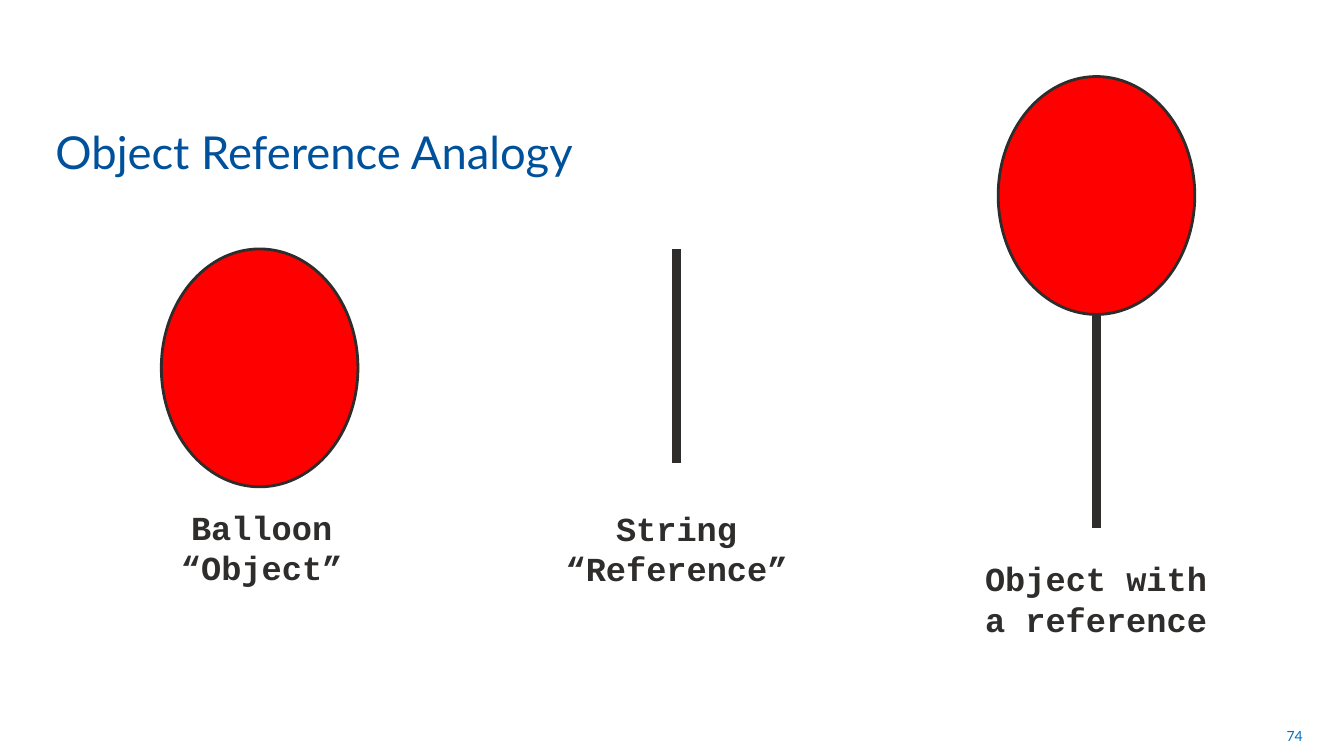
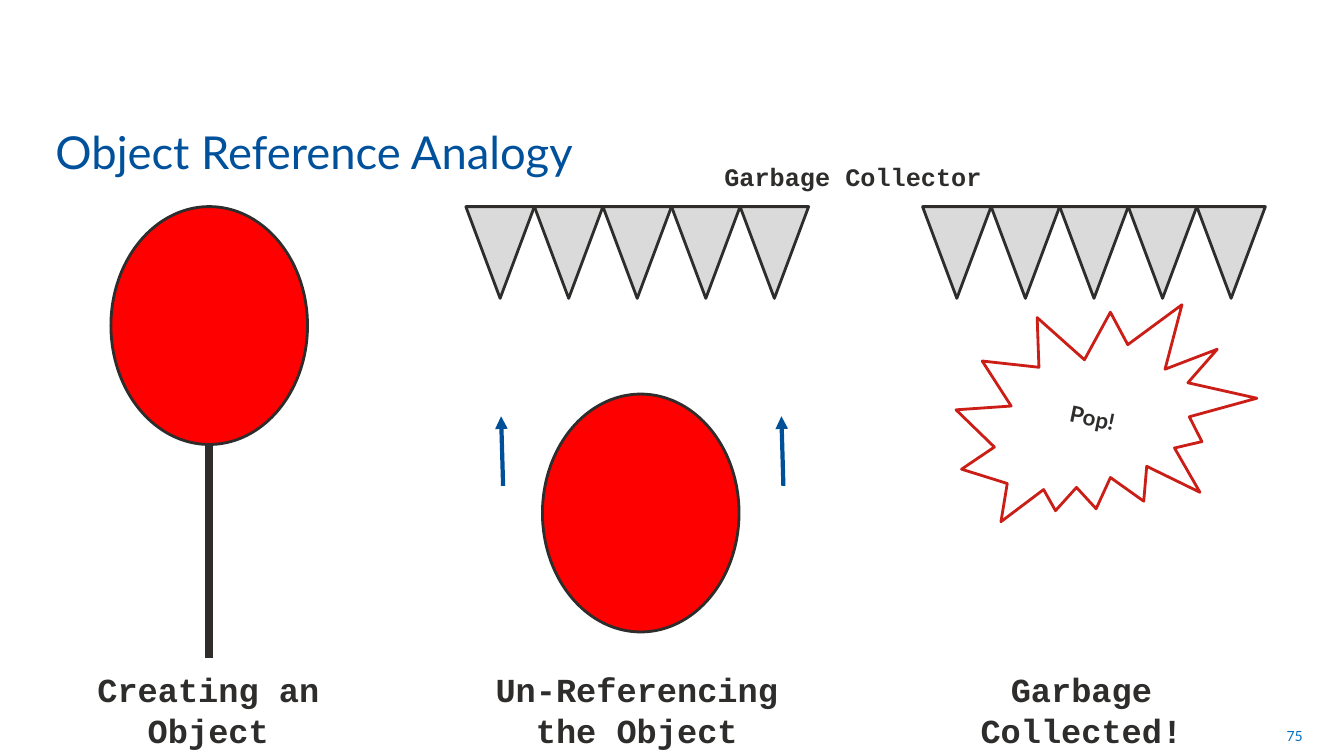
from pptx import Presentation
from pptx.dml.color import RGBColor
from pptx.enum.shapes import MSO_CONNECTOR, MSO_SHAPE
from pptx.enum.text import MSO_ANCHOR, PP_ALIGN
from pptx.oxml.ns import qn
from pptx.util import Inches, Pt
from lxml.etree import SubElement


def color(value):
    return RGBColor.from_string(value)


class SlideBuilder:
    INK = "2E2D2C"
    TITLE = "00519C"
    ARROW = "004F99"
    NUMBER = "0070C0"
    BALLOON = "FF0000"
    TOOTH = "DADADA"
    BURST = "CA1E17"
    PAPER = "FFFFFF"
    SANS = "Lato"
    MONO = "Courier New"
    BALLOON_WIDTH = 1.95
    BALLOON_HEIGHT = 2.36
    STRING_LENGTH = 2.12
    TOOTH_WIDTH = 0.68
    TOOTH_HEIGHT = 0.91

    def __init__(self):
        self.deck = Presentation()
        self.deck.slide_width = Inches(13.33)
        self.deck.slide_height = Inches(7.5)
        self.page = None

    def start(self, title, number):
        self.page = self.deck.slides.add_slide(self.deck.slide_layouts[5])
        box = self.page.shapes.title
        box.left, box.top = Inches(0.45), Inches(1.13)
        box.width, box.height = Inches(9.98), Inches(0.69)
        self.set_text(box, title, 32.4, self.SANS, self.TITLE, False,
                      PP_ALIGN.LEFT, MSO_ANCHOR.BOTTOM)
        self.text(number, 9.91, 7.1, 3.11, 0.4, 10, self.SANS, self.NUMBER,
                  False, PP_ALIGN.RIGHT, MSO_ANCHOR.MIDDLE)

    def set_text(self, box, words, size, font, ink, bold, align, anchor):
        frame = box.text_frame
        frame.text = words
        frame.word_wrap = True
        frame.vertical_anchor = anchor
        for paragraph in frame.paragraphs:
            paragraph.alignment = align
            for span in paragraph.runs:
                span.font.size = Pt(size)
                span.font.name = font
                span.font.bold = bold
                span.font.color.rgb = color(ink)

    def text(self, words, left, top, width, height, size, font, ink, bold,
             align, anchor):
        box = self.page.shapes.add_textbox(
            Inches(left), Inches(top), Inches(width), Inches(height))
        self.set_text(box, words, size, font, ink, bold, align, anchor)

    def caption(self, words, left, top, width=3.65, height=0.91, size=24):
        self.text(words, left, top, width, height, size, self.MONO, self.INK,
                  True, PP_ALIGN.CENTER, MSO_ANCHOR.TOP)

    def shape(self, kind, left, top, width, height, fill, line, rotation=0):
        shape = self.page.shapes.add_shape(
            kind, Inches(left), Inches(top), Inches(width), Inches(height))
        shape.shadow.inherit = False
        shape.rotation = rotation
        shape.fill.solid()
        shape.fill.fore_color.rgb = color(fill)
        shape.line.color.rgb = color(line)
        shape.line.width = Pt(2)
        return shape

    def line(self, start, end, ink, width, arrow=False):
        connector = self.page.shapes.add_connector(
            MSO_CONNECTOR.STRAIGHT, *(Inches(value) for value in start + end))
        connector.line.color.rgb = color(ink)
        connector.line.width = Pt(width)
        properties = connector._element.spPr
        if arrow:
            SubElement(properties.find(qn("a:ln")), qn("a:tailEnd"), type="triangle")
        SubElement(properties, qn("a:effectLst"))

    def string(self, x, top):
        self.line((x, top), (x, top + self.STRING_LENGTH), self.INK, 6)

    def balloon(self, left, top, tied=False):
        self.shape(MSO_SHAPE.OVAL, left, top, self.BALLOON_WIDTH,
                   self.BALLOON_HEIGHT, self.BALLOON, self.INK)
        if tied:
            self.string(left + self.BALLOON_WIDTH / 2, top + self.BALLOON_HEIGHT)

    def teeth(self, left, top, count=5):
        for index in range(count):
            self.shape(MSO_SHAPE.ISOSCELES_TRIANGLE,
                       left + index * self.TOOTH_WIDTH, top, self.TOOTH_WIDTH,
                       self.TOOTH_HEIGHT, self.TOOTH, self.INK, 180)

    def burst(self, words, left, top, width, height):
        shape = self.shape(MSO_SHAPE.EXPLOSION2, left, top, width, height,
                           self.PAPER, self.BURST, 11.6)
        self.set_text(shape, words, 16, self.SANS, self.INK, True,
                      PP_ALIGN.CENTER, MSO_ANCHOR.MIDDLE)


def add_parts(builder):
    builder.start("Object Reference Analogy", "74")
    builder.balloon(1.6, 2.47)
    builder.caption("Balloon\n“Object”", 0.77, 4.98)
    builder.string(6.71, 2.47)
    builder.caption("String\n“Reference”", 4.99, 4.99, 3.44)
    builder.balloon(9.9, 0.76, tied=True)
    builder.caption("Object with a reference", 9.56, 5.49, 2.62)


def add_collection(builder):
    builder.start("Object Reference Analogy", "75")
    builder.balloon(1.1, 2.05, tied=True)
    builder.balloon(5.38, 3.91)
    for x in (4.99, 7.77):
        builder.line((x, 4.82), (x - 0.02, 4.13), builder.ARROW, 3, arrow=True)
    for left in (4.62, 9.15):
        builder.teeth(left, 2.05)
    builder.caption("Garbage Collector", 7.08, 1.55, 2.76, 0.42, 18)
    builder.burst("Pop!", 9.5, 2.89, 2.9, 2.47)
    for words, left in (("Creating an Object", 0.24),
                        ("Un-Referencing the Object", 4.49),
                        ("Garbage Collected!", 8.9)):
        builder.caption(words, left, 6.59)


def main():
    builder = SlideBuilder()
    add_parts(builder)
    add_collection(builder)
    builder.deck.save("out.pptx")


if __name__ == "__main__":
    main()
